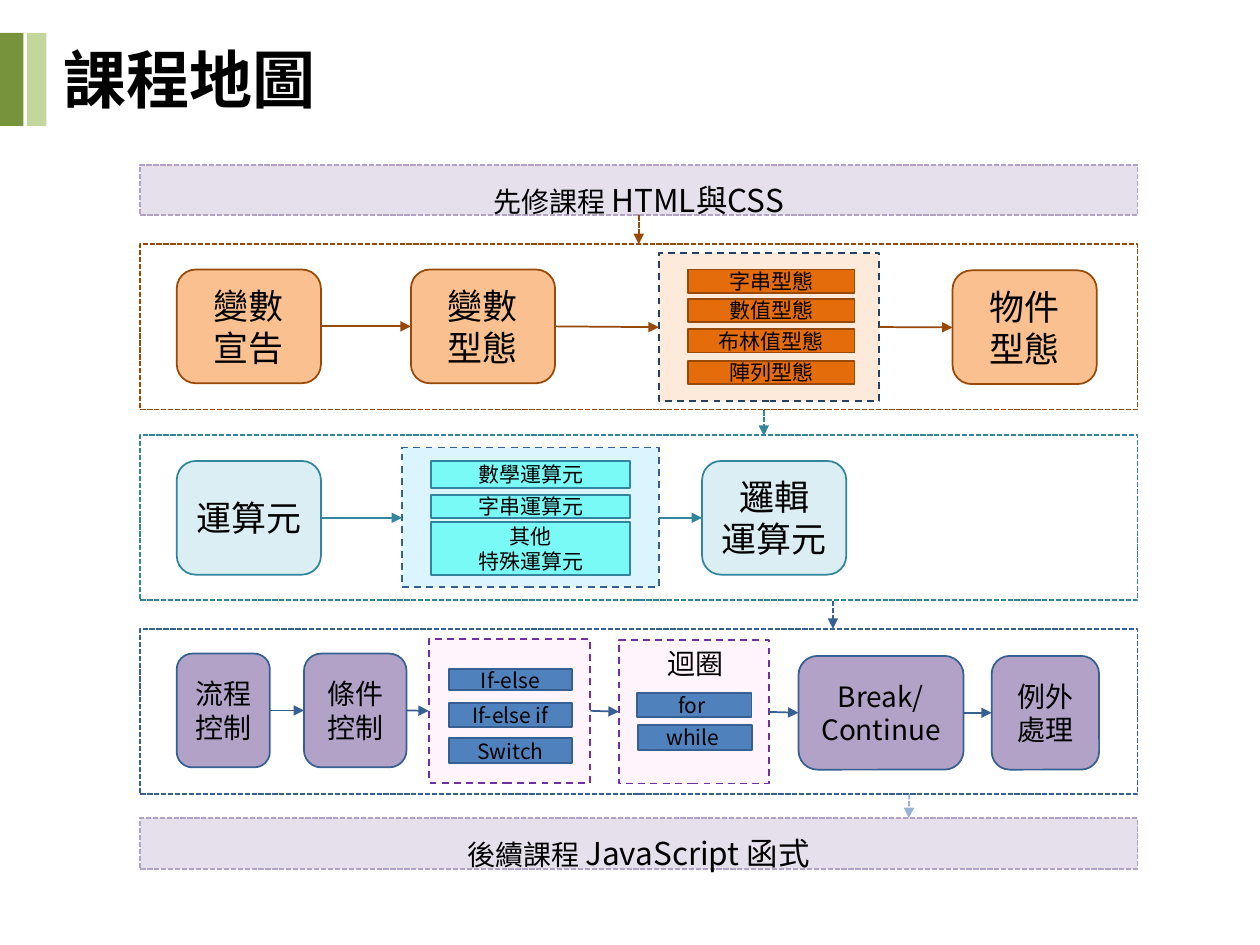
from dataclasses import dataclass
from typing import NamedTuple, Optional

from lxml.etree import SubElement
from pptx import Presentation
from pptx.dml.color import RGBColor
from pptx.enum.dml import MSO_LINE
from pptx.enum.shapes import MSO_CONNECTOR, MSO_SHAPE
from pptx.enum.text import MSO_ANCHOR, PP_ALIGN
from pptx.oxml.ns import qn
from pptx.util import Pt

FONT = "Noto Sans CJK SC"
ROW_LEFT, ROW_WIDTH = 80, 570
STEP_HEIGHT = 65
DASH, FINE = MSO_LINE.DASH, MSO_LINE.SQUARE_DOT
BROWN, TEAL, NAVY, LILAC = "984807", "31859C", "376092", "B3A2C7"


@dataclass(frozen=True)
class Style:
    """Look of a kind of box."""
    fill: Optional[str] = None
    line: Optional[str] = None
    dash: Optional[MSO_LINE] = None
    rounded: bool = False
    size: float = 12


class Box(NamedTuple):
    """A box in points; each text line is a paragraph of (text, size) or text."""
    style: Style
    left: float
    top: float
    width: float
    height: float
    lines: tuple = ()


class Arrow(NamedTuple):
    """An arrow in points."""
    x1: float
    y1: float
    x2: float
    y2: float
    color: str
    dash: Optional[MSO_LINE] = None


COURSE = Style("E6E0EC", LILAC, FINE, size=16)
VARIABLE = Style("FAC090", BROWN, rounded=True, size=20)
TYPE_GROUP = Style("FDEADA", "254061", DASH)
TYPE = Style("E46C0A", BROWN)
OPERATOR = Style("DBEEF4", TEAL, rounded=True, size=20)
OPERATOR_GROUP = Style("DAF5FE", NAVY, DASH)
OPERATOR_KIND = Style("7AFAF7", TEAL)
CONTROL = Style(LILAC, NAVY, rounded=True, size=16)
CONTROL_GROUP = Style("FFF3FC", "7030A0", DASH)
STATEMENT = Style("4F81BD", NAVY)
LOOP_LABEL = Style("FFF3FC", size=16)

ROWS = [Box(Style(line=color, dash=FINE), ROW_LEFT, top, ROW_WIDTH, 94.5)
        for color, top in ((BROWN, 139.5), (TEAL, 248.6), (NAVY, 359.3))]

BOXES = [
    Box(COURSE, ROW_LEFT, 94.3, ROW_WIDTH, 28.8, ((("先修課程 ", 16), ("HTML與CSS", 18)),)),
    Box(COURSE, ROW_LEFT, 467.5, ROW_WIDTH, 29.2, ((("後續課程 ", 16), ("JavaScript 函式", 18)),)),
    Box(VARIABLE, 101, 154, 82.4, STEP_HEIGHT, ("變數", "宣告")),
    Box(VARIABLE, 234.8, 154, 82.4, STEP_HEIGHT, ("變數", "型態")),
    Box(VARIABLE, 544.3, 154.5, 82.4, STEP_HEIGHT, ("物件", "型態")),
    Box(TYPE_GROUP, 376.5, 144.6, 126, 84.5),
    *(Box(TYPE, 393, top, 95.4, 13.3, (text,)) for text, top in
      (("字串型態", 154), ("數值型態", 170.7), ("布林值型態", 188.2), ("陣列型態", 206.2))),
    Box(OPERATOR, 101, 263.4, 82.4, STEP_HEIGHT, ("運算元",)),
    Box(OPERATOR, 401.2, 263.4, 82.4, STEP_HEIGHT, ("邏輯", "運算元")),
    Box(OPERATOR_GROUP, 229.7, 255.8, 147, 79.7),
    Box(OPERATOR_KIND, 246.3, 263.4, 113.8, 15.6, ("數學運算元",)),
    Box(OPERATOR_KIND, 246.3, 282.7, 113.8, 13.3, ("字串運算元",)),
    Box(OPERATOR_KIND, 246.3, 298.2, 113.8, 30.4, ("其他", "特殊運算元")),
    Box(CONTROL, 101, 373.5, 53.2, STEP_HEIGHT, ("流程控制",)),
    Box(CONTROL, 173.7, 373.5, 58.6, STEP_HEIGHT, ("條件", "控制")),
    Box(CONTROL, 456.3, 374.8, 94.3, STEP_HEIGHT, ("Break/", "Continue")),
    Box(CONTROL, 566.7, 374.8, 61.4, STEP_HEIGHT, ("例外處理",)),
    Box(CONTROL_GROUP, 245, 365.1, 92.2, 82.2),
    Box(CONTROL_GROUP, 353.6, 365.6, 85.8, 82.2),
    Box(LOOP_LABEL, 364.7, 373, 65.5, 12.2, ("迴圈",)),
    Box(STATEMENT, 256.6, 382.3, 70.2, 12.2, ("If-else",)),
    Box(STATEMENT, 256.6, 401.8, 70.2, 13.7, ("If-else if",)),
    Box(STATEMENT, 256.6, 421.9, 70.2, 14.2, ("Switch",)),
    Box(STATEMENT, 363.9, 396, 65.5, 13.7, ("for ",)),
    Box(STATEMENT, 364.4, 414.2, 65.5, 14.4, ("while ",)),
]

STEP_ARROWS = {
    BROWN: ((183.4, 186.5, 234.8, 186.5), (317.2, 186.5, 376.5, 187),
            (502.5, 186.9, 544.3, 187.1)),
    TEAL: ((183.4, 295.9, 229.7, 295.9), (376.7, 295.9, 401.2, 295.9)),
    NAVY: ((154.2, 406, 173.7, 406), (232.3, 406, 245, 406.2), (337.4, 406.2, 353.6, 406.7),
           (439.4, 406.8, 456.3, 407.3), (550.6, 407.3, 566.7, 407.3)),
}
ARROWS = [Arrow(*ends, color) for color, group in STEP_ARROWS.items() for ends in group] + [
    Arrow(365, 123.1, 365, 139.5, BROWN, FINE),
    Arrow(436.5, 234.5, 436.5, 249, TEAL, FINE),
    Arrow(476, 343.4, 476, 359.3, NAVY, FINE),
    Arrow(519.6, 453.8, 519.3, 467.5, "95B3D7", FINE),
]


def rgb(color: str) -> RGBColor:
    """Turn a hex string into a colour."""
    return RGBColor.from_string(color)


def add_span(para, text: str, size: float, font: str = FONT, bold: bool = False) -> None:
    """Add one black run, with its font for Latin and East Asian text."""
    span = para.add_run()
    span.text = text
    span.font.name, span.font.size, span.font.bold = font, Pt(size), bold
    span.font.color.rgb = rgb("000000")
    SubElement(span.font._element, qn("a:ea")).set("typeface", font)


def set_line(line, color: str, dash: Optional[MSO_LINE]) -> None:
    """Set a one point line."""
    line.color.rgb = rgb(color)
    line.width = Pt(1)
    if dash is not None:
        line.dash_style = dash


def add_box(page, box: Box) -> None:
    """Draw a box and its centred text."""
    style = box.style
    kind = MSO_SHAPE.ROUNDED_RECTANGLE if style.rounded else MSO_SHAPE.RECTANGLE
    shape = page.shapes.add_shape(kind, Pt(box.left), Pt(box.top), Pt(box.width), Pt(box.height))
    shape.shadow.inherit = False
    if style.fill:
        shape.fill.solid()
        shape.fill.fore_color.rgb = rgb(style.fill)
    else:
        shape.fill.background()
    if style.line:
        set_line(shape.line, style.line, style.dash)
    else:
        shape.line.fill.background()
    frame = shape.text_frame
    frame.word_wrap = True
    frame.vertical_anchor = MSO_ANCHOR.MIDDLE
    frame.margin_left = frame.margin_right = frame.margin_top = frame.margin_bottom = Pt(7.2)
    for index, line in enumerate(box.lines):
        para = frame.add_paragraph() if index else frame.paragraphs[0]
        para.alignment = PP_ALIGN.CENTER
        if style is COURSE:
            para.line_spacing = 1.5
        for text, size in ((line, style.size),) if isinstance(line, str) else line:
            add_span(para, text, size)


def add_arrow(page, arrow: Arrow) -> None:
    """Draw a straight line with a triangle at its end."""
    line = page.shapes.add_connector(MSO_CONNECTOR.STRAIGHT, Pt(arrow.x1), Pt(arrow.y1),
                                     Pt(arrow.x2), Pt(arrow.y2))
    set_line(line.line, arrow.color, arrow.dash)
    SubElement(line.line._get_or_add_ln(), qn("a:tailEnd")).set("type", "triangle")
    SubElement(line._element.spPr, qn("a:effectLst"))


def add_title(page, text: str) -> None:
    """Draw the heading with its two green bars."""
    for color, left, width in (("77933C", 0, 13.4), ("C3D69B", 15.6, 11)):
        add_box(page, Box(Style(color), left, 18.8, width, 53.2))
    box = page.shapes.add_textbox(Pt(29.5), Pt(19.5), Pt(255), Pt(51))
    box.text_frame.word_wrap = True
    add_span(box.text_frame.paragraphs[0], text, 36, "Arial", True)


def main() -> None:
    """Build the course map."""
    deck = Presentation()
    deck.slide_width, deck.slide_height = Pt(720), Pt(540)
    page = deck.slides.add_slide(deck.slide_layouts[6])
    add_title(page, "課程地圖")
    for box in ROWS + BOXES:
        add_box(page, box)
    for arrow in ARROWS:
        add_arrow(page, arrow)
    deck.save("out.pptx")


main()
